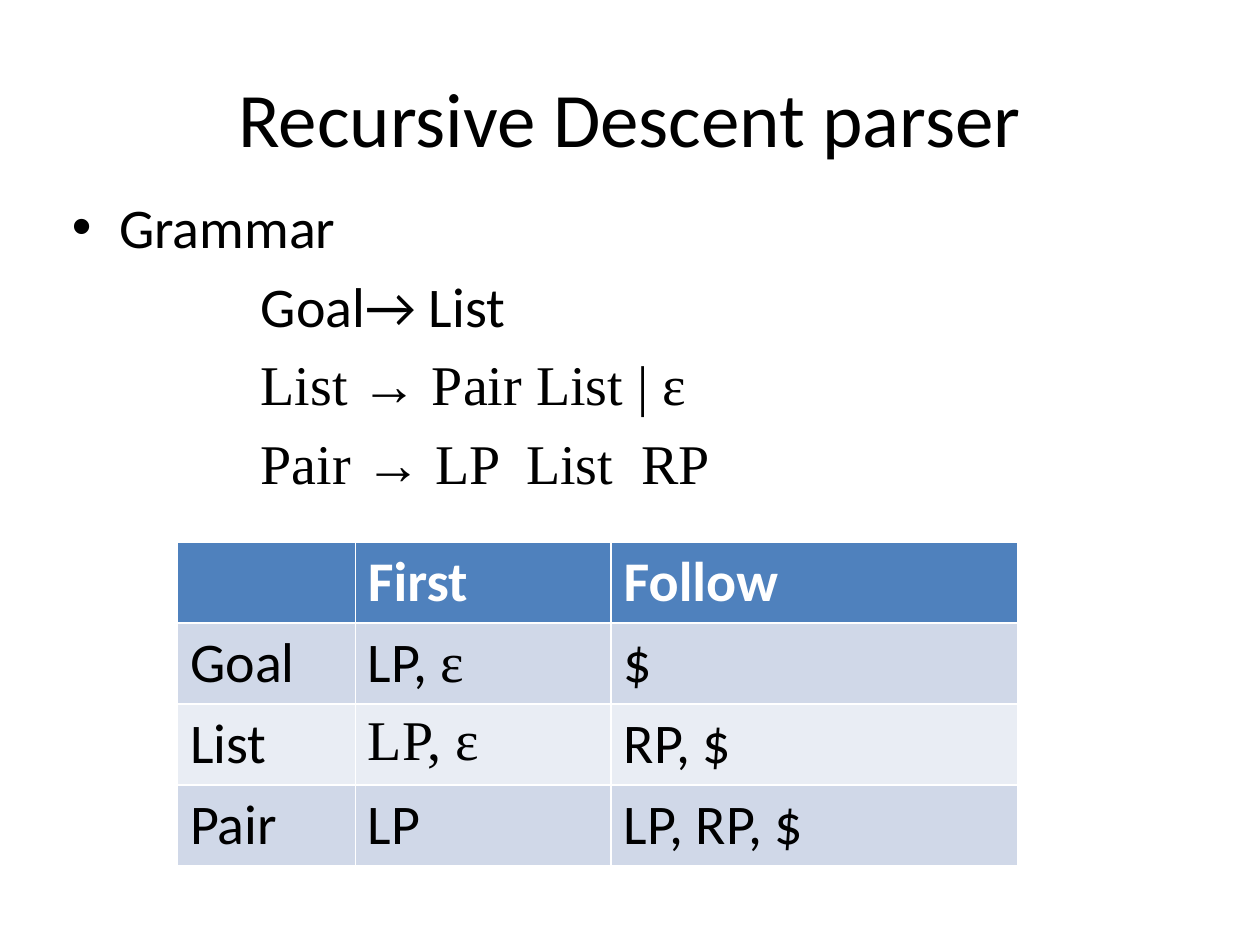
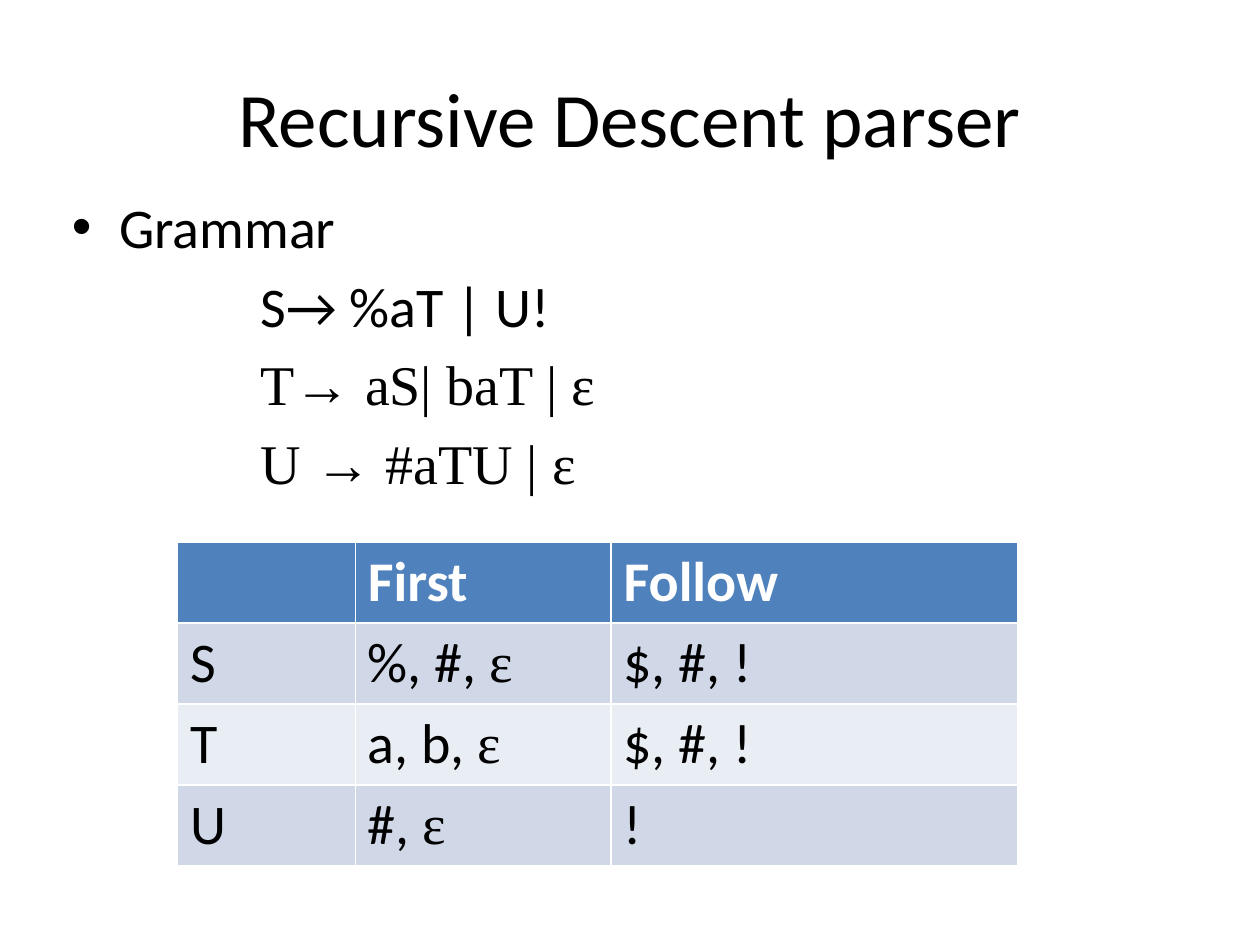
from pptx import Presentation
from pptx.dml.color import RGBColor
from pptx.enum import text
from pptx.oxml.ns import qn
from pptx.util import Inches, Pt

BLACK = RGBColor(0x00, 0x00, 0x00)
WHITE = RGBColor(0xFF, 0xFF, 0xFF)
HEADER_BLUE = RGBColor(0x4F, 0x81, 0xBD)
BANDS = (RGBColor(0xD0, 0xD8, 0xE8), RGBColor(0xE9, 0xED, 0xF4))
SANS, SERIF = "Calibri", "Times New Roman"
TITLE_SIZE, TEXT_SIZE = Pt(44), Pt(32)

TITLE_BOX = (0.5, 0.3, 9, 1.25)
GRAMMAR_BOX = (0.47, 1.48, 9, 4.95)
TABLE_BOX = (1.41, 4.3, 6.67, 2.56)
COLUMN_WIDTHS = (1.41, 2.03, 3.23)
HEADINGS = ("", "First", "Follow")
EPSILON = ("ε", SERIF)
RULE_LEVEL = 3

# Each cell is a plain string or a list of (text, font) runs.
GRAMMARS = (
    {
        "rules": ("Goal→ List", "List → Pair List | ε", "Pair → LP  List  RP"),
        "sets": (
            ("Goal", [("LP, ", SANS), EPSILON], "$"),
            ("List", [("LP, ε", SERIF)], "RP, $"),
            ("Pair", "LP", "LP, RP, $"),
        ),
    },
    {
        "rules": ("S→ %aT | U!", "T→ aS| baT | ε", "U → #aTU | ε"),
        "sets": (
            ("S", [("%, #, ", SANS), EPSILON], "$, #, !"),
            ("T", [("a, b, ", SANS), EPSILON], "$, #, !"),
            ("U", [("#, ", SANS), EPSILON], "!"),
        ),
    },
)


def place(shape, box):
    shape.left, shape.top, shape.width, shape.height = map(Inches, box)


def format_run(run, font=SANS, size=TEXT_SIZE, color=BLACK, bold=False):
    run.font.name = font
    run.font.size = size
    run.font.color.rgb = color
    run.font.bold = bold


def add_title(slide, box):
    title = slide.shapes.title
    place(title, box)
    title.text_frame.text = "Recursive Descent parser"
    title.text_frame.vertical_anchor = text.MSO_ANCHOR.MIDDLE
    paragraph = title.text_frame.paragraphs[0]
    paragraph.alignment = text.PP_ALIGN.CENTER
    format_run(paragraph.runs[0], size=TITLE_SIZE)


def add_grammar(slide, box, rules):
    """Fill the body with a bulleted heading and unbulleted, indented rules."""
    body = slide.placeholders[1]
    place(body, box)
    frame = body.text_frame
    frame.text = "Grammar"
    frame.paragraphs[0].space_before = Pt(0)
    format_run(frame.paragraphs[0].runs[0])
    for index, rule in enumerate(rules):
        paragraph = frame.add_paragraph()
        paragraph.text = rule
        paragraph.level = RULE_LEVEL
        properties = paragraph._p.get_or_add_pPr()
        properties.append(properties.makeelement(qn("a:buNone"), {}))
        format_run(paragraph.runs[0], font=SERIF if index else SANS)


def fill_cell(cell, content, fill, color, bold):
    cell.fill.solid()
    cell.fill.fore_color.rgb = fill
    if not content:
        return
    runs = [(content, SANS)] if isinstance(content, str) else content
    for words, font in runs:
        run = cell.text_frame.paragraphs[0].add_run()
        run.text = words
        format_run(run, font=font, color=color, bold=bold)


def add_set_table(slide, box, sets):
    """Add the table of First and Follow sets; its style draws white borders."""
    rows = (HEADINGS, *sets)
    table = slide.shapes.add_table(len(rows), len(HEADINGS), *map(Inches, box)).table
    for column, width in zip(table.columns, COLUMN_WIDTHS):
        column.width = Inches(width)
    for row_index, row in enumerate(rows):
        table.rows[row_index].height = Inches(box[3] / len(rows))
        is_header = row_index == 0
        fill = HEADER_BLUE if is_header else BANDS[(row_index - 1) % 2]
        color = WHITE if is_header else BLACK
        for column_index, content in enumerate(row):
            fill_cell(table.cell(row_index, column_index), content, fill, color, is_header)


def add_grammar_slide(presentation, rules, sets):
    slide = presentation.slides.add_slide(presentation.slide_layouts[1])
    add_title(slide, TITLE_BOX)
    add_grammar(slide, GRAMMAR_BOX, rules)
    add_set_table(slide, TABLE_BOX, sets)


def main():
    presentation = Presentation()
    presentation.slide_width = Inches(10)
    presentation.slide_height = Inches(7.5)
    for grammar in GRAMMARS:
        add_grammar_slide(presentation, **grammar)
    presentation.save("out.pptx")


if __name__ == "__main__":
    main()
